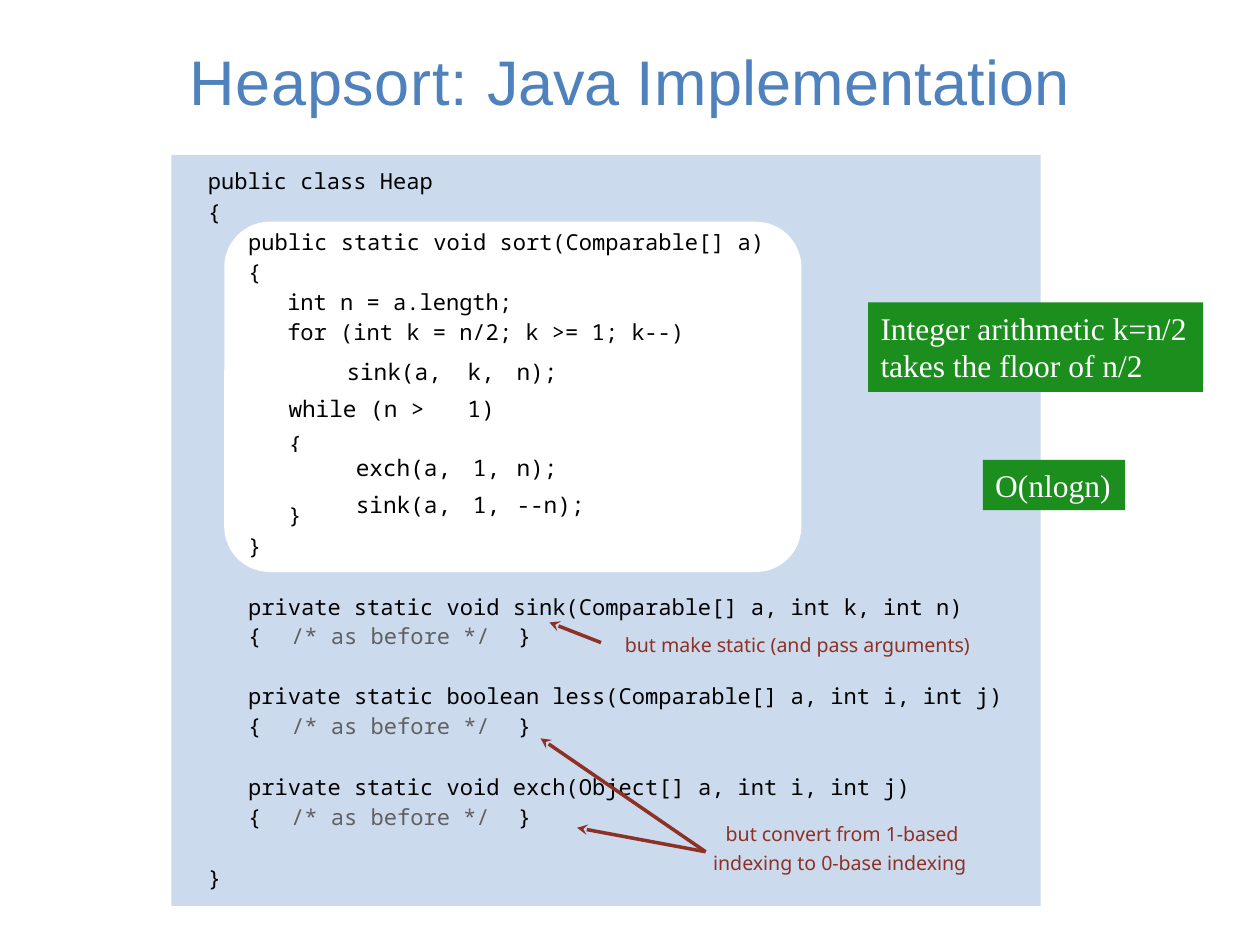
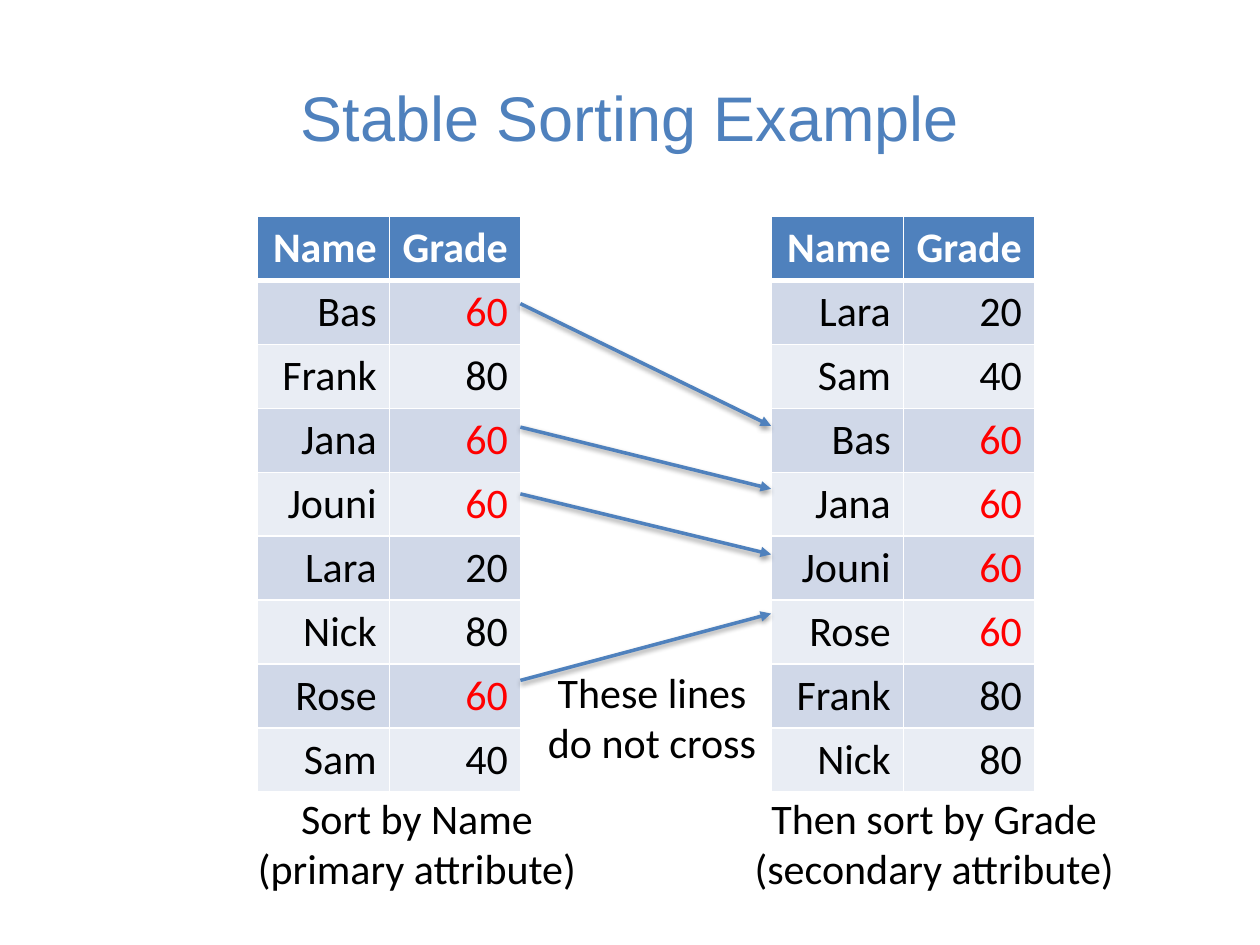
from dataclasses import dataclass

from lxml import etree
from pptx import Presentation
from pptx.dml.color import RGBColor
from pptx.enum.shapes import MSO_CONNECTOR, MSO_SHAPE
from pptx.enum.text import MSO_ANCHOR, MSO_AUTO_SIZE, PP_ALIGN
from pptx.oxml.ns import qn
from pptx.util import Inches, Pt

BLUE, BLACK, WHITE, RED = "4F81BD", "000000", "FFFFFF", "FF0000"
PANEL, GREEN, BROWN, GREY = "CCDAEE", "1B8E1D", "8D3124", "606060"
BANDS = ("E9EDF4", "D0D8E8")
MONO = dict(font="Noto Sans Mono", size=12.55)
CELL_MONO = dict(font="Noto Sans Mono", size=13)
NOTE = dict(font="Noto Sans", size=11.2, color=BROWN)
BODY = dict(font="Calibri", size=24)
CALLOUT = dict(font="Times New Roman", size=18, color=WHITE)
NO_STYLE = "{2D5ABB26-0587-4C30-8999-92F81FD0307C}"
BY_NAME = [("Bas", 60), ("Frank", 80), ("Jana", 60), ("Jouni", 60),
           ("Lara", 20), ("Nick", 80), ("Rose", 60), ("Sam", 40)]


@dataclass
class Line:
    """A paragraph: text or (text, colour, tracking) runs, indents and spacing."""
    text: object
    indent: float = 0
    before: float = 0
    spacing: object = None
    first: float = 0
    align: object = PP_ALIGN.LEFT


def rgb(color):
    """Turn a hex string into a colour."""
    return RGBColor.from_string(color)


def write(tf, lines, font, size, color=BLACK, bold=False, align=None):
    """Fill a text frame with lines in one format."""
    for i, line in enumerate(lines):
        line = Line(line) if isinstance(line, str) else line
        p = tf.paragraphs[0] if i == 0 else tf.add_paragraph()
        pPr = p._p.get_or_add_pPr()
        pPr.set("marL", str(Inches(line.indent)))
        pPr.set("indent", str(Inches(line.first)))
        p.alignment = align or line.align
        p.space_before = Pt(line.before)
        if line.spacing:
            p.line_spacing = line.spacing
        runs = [(line.text, color, 0)] if isinstance(line.text, str) else line.text
        for text, run_color, tracking in runs:
            r = p.add_run()
            r.text = text
            r.font.name, r.font.size, r.font.bold = font, Pt(size), bold
            r.font.color.rgb = rgb(run_color)
            if tracking:
                r._r.get_or_add_rPr().set("spc", str(round(tracking * 100)))


def set_margins(obj, left, top, right, bottom):
    """Set the inner margins of a text frame or cell."""
    obj.margin_left, obj.margin_top = Inches(left), Inches(top)
    obj.margin_right, obj.margin_bottom = Inches(right), Inches(bottom)


def add_text(s, x, y, w, h, lines, inset=None, **fmt):
    """Add a wrapping text box."""
    tf = s.shapes.add_textbox(Inches(x), Inches(y), Inches(w), Inches(h)).text_frame
    tf.word_wrap = True
    if inset is not None:
        set_margins(tf, 0, inset, 0, 0)
    write(tf, lines, **fmt)


def add_box(s, kind, x, y, w, h, fill):
    """Add a filled preset shape without outline or shadow."""
    sp = s.shapes.add_shape(kind, Inches(x), Inches(y), Inches(w), Inches(h))
    sp.shadow.inherit = False
    sp.fill.solid()
    sp.fill.fore_color.rgb = rgb(fill)
    sp.line.fill.background()
    return sp


def add_callout(s, x, y, w, h, lines):
    """Add a green label that keeps its line breaks."""
    tf = add_box(s, MSO_SHAPE.RECTANGLE, x, y, w, h, GREEN).text_frame
    tf.word_wrap = False
    tf.auto_size = MSO_AUTO_SIZE.SHAPE_TO_FIT_TEXT
    tf.vertical_anchor = MSO_ANCHOR.TOP
    write(tf, lines, **CALLOUT)


def add_arrow(s, x1, y1, x2, y2, color, head, shadow=False):
    """Draw a straight arrow, with a soft shadow on request."""
    c = s.shapes.add_connector(MSO_CONNECTOR.STRAIGHT, Inches(x1), Inches(y1),
                               Inches(x2), Inches(y2))
    c.line.color.rgb = rgb(color)
    c.line.width = Pt(2)
    etree.SubElement(c.line._get_or_add_ln(), qn("a:tailEnd"), type=head)
    effects = etree.SubElement(c._element.spPr, qn("a:effectLst"))
    if shadow:
        outer = etree.SubElement(effects, qn("a:outerShdw"), blurRad=str(Pt(3.1)),
                                 dist=str(Pt(1.6)), dir="5400000", rotWithShape="0")
        black = etree.SubElement(outer, qn("a:srgbClr"), val=BLACK)
        etree.SubElement(black, qn("a:alpha"), val="38000")


def add_table(s, x, y, cols, rows):
    """Add an unstyled table with the given column widths and row heights."""
    table = s.shapes.add_table(len(rows), len(cols), Inches(x), Inches(y),
                               Inches(sum(cols)), Inches(sum(rows))).table
    table._tbl.tblPr.find(qn("a:tableStyleId")).text = NO_STYLE
    for col, w in zip(table.columns, cols):
        col.width = Inches(w)
    for row, h in zip(table.rows, rows):
        row.height = Inches(h)
    return table


def fill_cell(cell, color):
    """Give a cell a solid fill."""
    cell.fill.solid()
    cell.fill.fore_color.rgb = rgb(color)


def add_borders(cell, top, bottom):
    """Give a cell white borders; top and bottom widths vary."""
    tcPr = cell._tc.get_or_add_tcPr()
    for side, width in zip("LRTB", (1, 1, top, bottom)):
        ln = etree.SubElement(tcPr, qn("a:ln" + side), w=str(Pt(width)))
        solid = etree.SubElement(ln, qn("a:solidFill"))
        etree.SubElement(solid, qn("a:srgbClr"), val=WHITE)


def add_slide(prs, title, top):
    """Add a title-only slide with its title in place."""
    s = prs.slides.add_slide(prs.slide_layouts[5])
    sp = s.shapes.title
    sp.left, sp.top, sp.width, sp.height = map(Inches, (0.5, top, 9, 1.25))
    sp.text_frame.vertical_anchor = MSO_ANCHOR.MIDDLE
    write(sp.text_frame, [title], "Arial", 36, BLUE, align=PP_ALIGN.CENTER)
    return s


def loop_table(s, x, y):
    """Set the loops of the sort method in columns."""
    table = add_table(s, x, y, (1.38, 0.39, 0.74), (0.7, 0.24, 0.22))
    right, high, low = PP_ALIGN.RIGHT, Pt(20.3), Pt(21.5)
    cells = [
        [[Line("sink(a,", 0.49, spacing=high), Line("while (n >", 0.03, 3.4),
          Line("{", 0.03, 2.4)],
         [Line("k,", 0.07, spacing=high), Line("1)", 0.07, 3.4)],
         [Line("n);", 0.07, spacing=high)]],
        [[Line("exch(a,", align=right)], [Line("1,", align=right)], [Line("n);", 0.07)]],
        [[Line("sink(a,", spacing=low, align=right)],
         [Line("1,", spacing=low, align=right)], [Line("--n);", 0.07, spacing=low)]],
    ]
    for r, row in enumerate(cells):
        for c, lines in enumerate(row):
            cell = table.cell(r, c)
            set_margins(cell, 0, 0, 0.06 if r and c < 2 else 0, 0)
            fill_cell(cell, WHITE)
            write(cell.text_frame, lines, **CELL_MONO)


def code_panel(s, x, y):
    """Place the class listing on its panel, with the sort method highlighted."""
    add_box(s, MSO_SHAPE.RECTANGLE, x, y, 6.9, 5.96, PANEL)
    sp = add_box(s, MSO_SHAPE.ROUNDED_RECTANGLE, x + 0.42, y + 0.53, 4.58, 2.78, WHITE)
    sp.adjustments[0] = 0.13
    stub = Line([("{", BLACK, 0), (" ", BLACK, 9.5), ("/* as before */", GREY, 0),
                 (" ", GREY, 8.5), ("}", BLACK, 0)], 0.01, 1.7)
    add_text(s, x + 0.28, y + 0.06, 4.7, 1.46, [
        Line("public class Heap", 0.01),
        Line("{", 0.01, 2.4),
        Line("public static void sort(Comparable[] a)", 0.33, 2.4),
        Line("{", 0.33, 1.7),
        Line("int n = a.length;", 0.64, 2.4),
        Line("for (int k = n/2; k >= 1; k--)", 0.64, 1.7)], inset=0.04, **MONO)
    loop_table(s, x + 0.9, y + 1.56)
    add_text(s, x + 0.6, y + 2.71, 6.2, 0.99, [
        Line("}", 0.33),
        Line("}", 0.01, 2.4),
        Line("private static void sink(Comparable[] a, int k, int n)", 0.01, 20)],
        inset=0.04, **MONO)
    add_text(s, x + 0.6, y + 4.16, 6.25, 0.98, [
        Line("private static boolean less(Comparable[] a, int i, int j)", 0.01),
        stub,
        Line("private static void exch(Object[] a, int i, int j)", 0.01, 20)],
        inset=0.03, **MONO)
    for stub_top in (3.7, 5.14):
        add_text(s, x + 0.6, y + stub_top, 2.5, 0.22, [stub], inset=0.01, **MONO)
    add_text(s, x + 0.28, y + 5.62, 0.13, 0.22, [Line("}", 0.01)], inset=0.01, **MONO)


def code_notes(s, x, y):
    """Place the brown remarks and their arrows over the code panel."""
    add_text(s, x + 4.29, y + 5.25, 2.15, 0.44, [
        Line("but convert from 1-based indexing to 0-base indexing", 0.01,
             spacing=1.2, first=0.1)], inset=0.01, **NOTE)
    add_text(s, x + 3.59, y + 3.78, 2.88, 0.2,
             [Line("but make static (and pass arguments)", 0.01)], inset=0.01, **NOTE)
    for x1, y1, x2, y2 in ((4.24, 5.53, 2.93, 4.63), (4.24, 5.53, 3.22, 5.34),
                           (3.41, 3.87, 3, 3.71)):
        add_arrow(s, x + x1, y + y1, x + x2, y + y2, BROWN, "stealth")


def grade_table(s, x, y, records):
    """Place a table of names and grades, with grade 60 in red."""
    rows = [("Name", "Grade")] + records
    table = add_table(s, x, y, (1.05, 1.04), [0.5] * len(rows))
    for r, row in enumerate(rows):
        for c, value in enumerate(row):
            cell = table.cell(r, c)
            add_borders(cell, 3 if r == 1 else 1, 3 if r == 0 else 1)
            fill_cell(cell, BANDS[r % 2] if r else BLUE)
            color = WHITE if r == 0 else RED if value == 60 else BLACK
            write(cell.text_frame, [str(value)], color=color, bold=r == 0,
                  align=PP_ALIGN.RIGHT, **BODY)


def heapsort_slide(prs):
    """Build the slide with the heapsort code."""
    title = Line([("Heapsort: ", BLUE, 0.4), ("Java ", BLUE, -0.1),
                  ("Implementation", BLUE, 0.1)])
    s = add_slide(prs, title, 0.01)
    code_panel(s, 1.36, 1.23)
    code_notes(s, 1.36, 1.23)
    add_callout(s, 7.8, 3.65, 1.13, 0.4, ["O(nlogn)"])
    add_callout(s, 6.89, 2.4, 2.66, 0.71,
                ["Integer arithmetic k=n/2", "takes the floor of n/2"])


def stable_slide(prs):
    """Build the slide that compares two sorted tables."""
    s = add_slide(prs, "Stable Sorting Example", 0.3)
    left, right, top = 2.04, 6.12, 1.72
    grade_table(s, left, top, BY_NAME)
    grade_table(s, right, top, sorted(BY_NAME, key=lambda record: record[1]))
    for y1, y2 in ((2.41, 3.38), (3.39, 3.88), (3.92, 4.4), (5.4, 4.87)):
        add_arrow(s, left + 2.09, y1, right, y2, BLUE, "triangle", shadow=True)
    for x, y, w, lines in (
            (1.91, 6.24, 2.8, ["Sort by Name", "(primary attribute)"]),
            (5.8, 6.24, 3.23, ["Then sort by Grade", "(secondary attribute)"]),
            (4.13, 5.24, 2.09, ["These lines do not cross"])):
        add_text(s, x, y, w, 0.91, lines, align=PP_ALIGN.CENTER, **BODY)


def main():
    """Build both slides and save the file."""
    prs = Presentation()
    prs.slide_width, prs.slide_height = Inches(10), Inches(7.5)
    heapsort_slide(prs)
    stable_slide(prs)
    prs.save("out.pptx")


if __name__ == "__main__":
    main()
